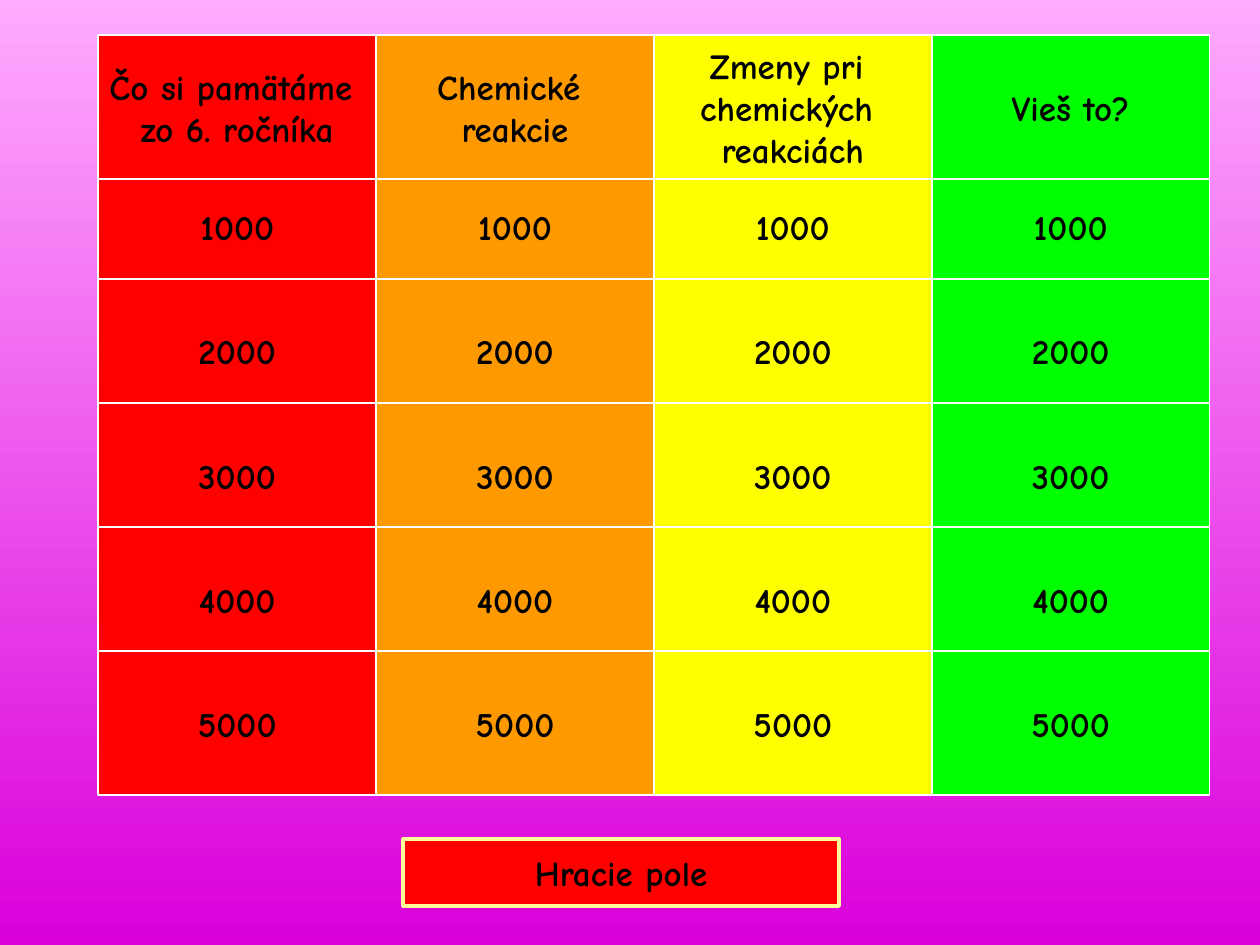
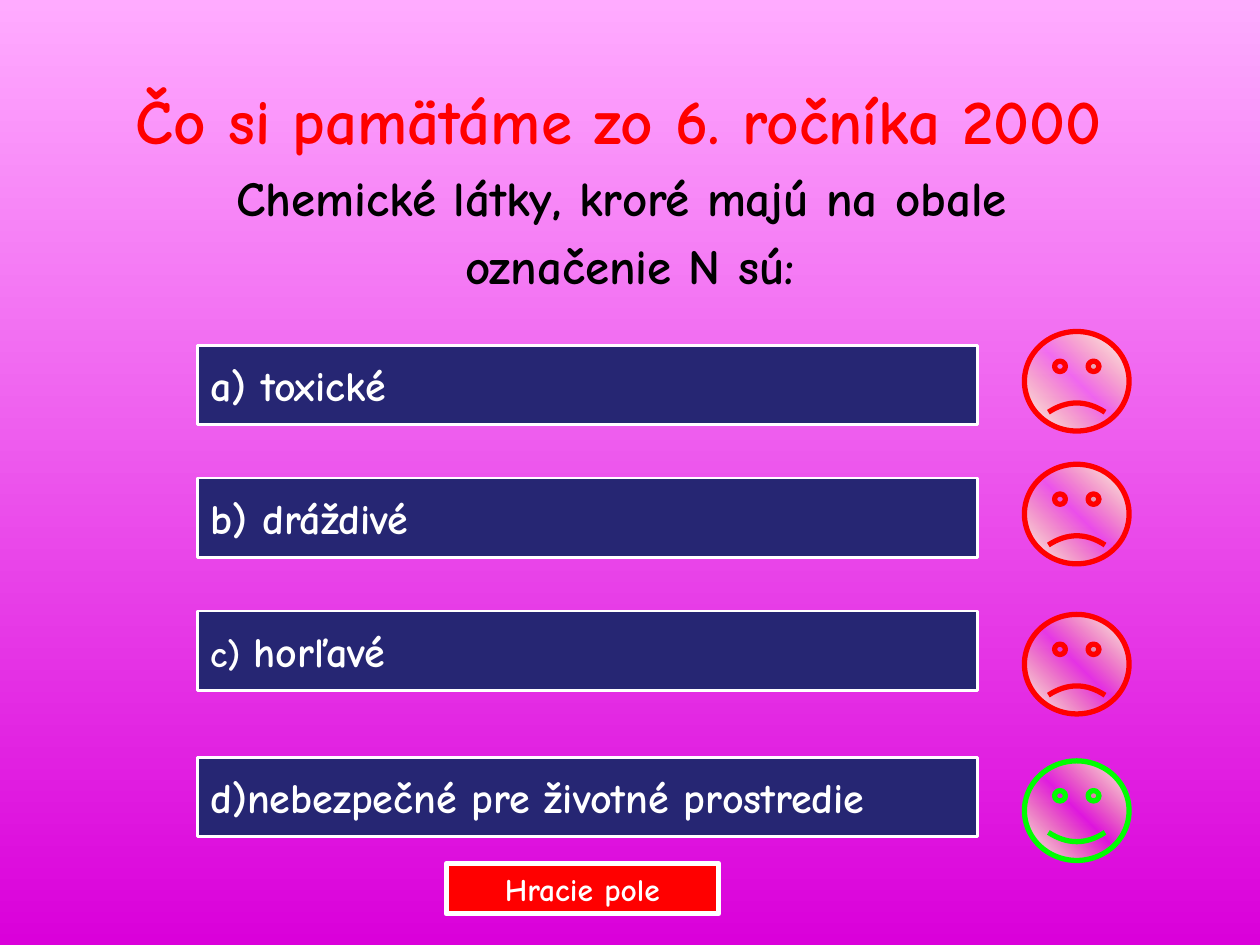
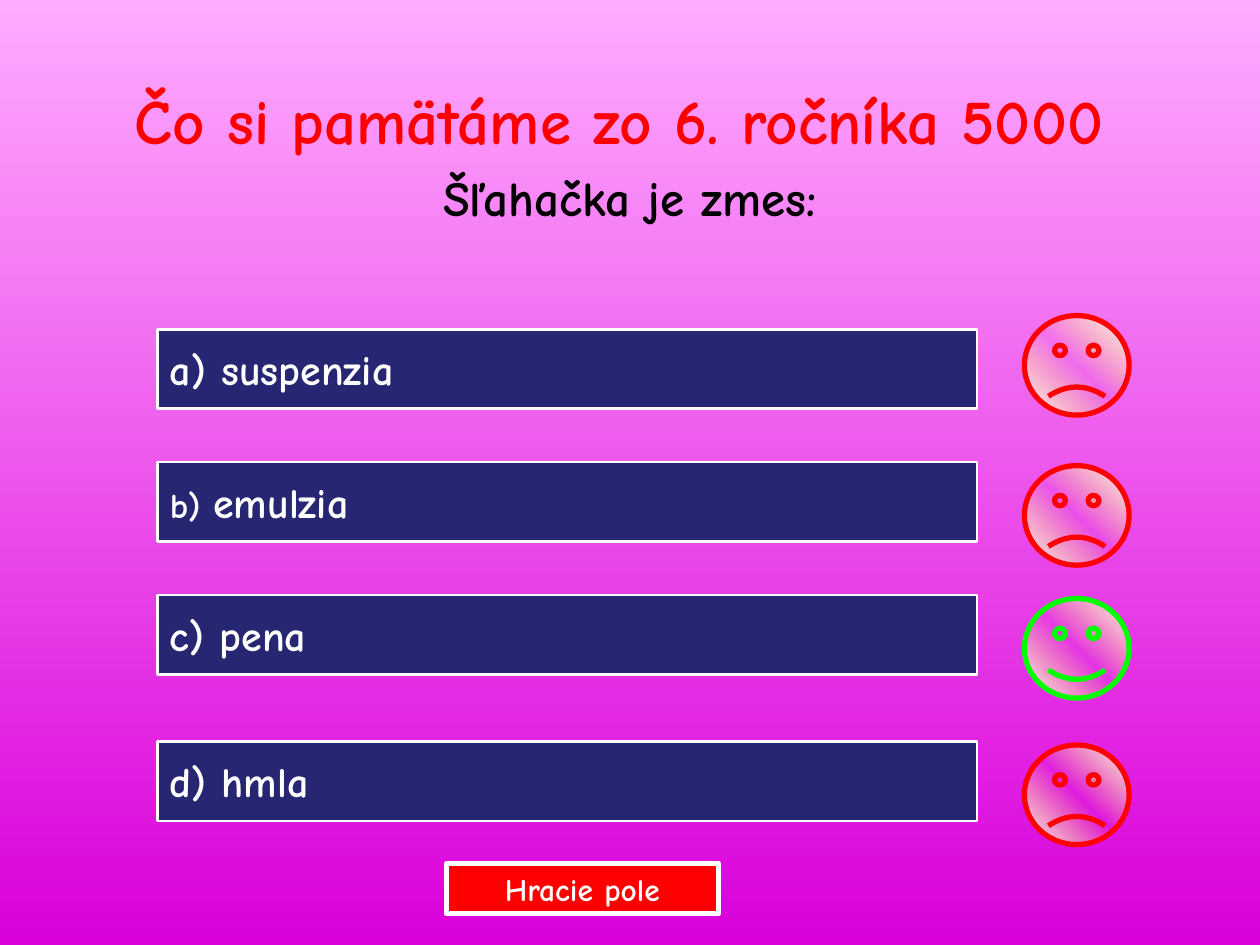
from lxml import etree
from pptx import Presentation
from pptx.dml.color import RGBColor
from pptx.enum.shapes import MSO_SHAPE
from pptx.enum.text import MSO_ANCHOR, MSO_AUTO_SIZE, PP_ALIGN
from pptx.oxml import parse_xml
from pptx.oxml.ns import nsdecls, qn
from pptx.util import Pt

BLACK = RGBColor(0x00, 0x00, 0x00)
WHITE = RGBColor(0xFF, 0xFF, 0xFF)
RED = RGBColor(0xFF, 0x00, 0x00)
ORANGE = RGBColor(0xFF, 0x99, 0x00)
YELLOW = RGBColor(0xFF, 0xFF, 0x00)
GREEN = RGBColor(0x00, 0xFF, 0x00)
CREAM = RGBColor(0xFF, 0xFF, 0x99)
NAVY = RGBColor(0x26, 0x26, 0x73)
PALE_PINK = RGBColor(0xFF, 0xAB, 0xFF)
MAGENTA = RGBColor(0xDA, 0x00, 0xDA)

FONT = "Comic Neue"
BLANK_LAYOUT, CONTENT_LAYOUT = 6, 1
BOARD_BUTTON = "Hracie pole"

CATEGORIES = [
    (RED, ["Čo si pamätáme ", "zo 6. ročníka"]),
    (ORANGE, ["Chemické ", "reakcie"]),
    (YELLOW, ["Zmeny pri ", "chemických ", "reakciách"]),
    (GREEN, ["Vieš to?"]),
]
POINT_VALUES = ["1000", "2000", "3000", "4000", "5000"]
BOARD_LEFT, HEADER_TOP, VALUES_TOP = 56.2, 20.2, 88.6
COLUMN_STEP, ROW_STEP = 158.75, 70.9
CELL_WIDTH, CELL_HEIGHT = 158.75, 82.1

ANSWER_OFFSETS = [0, 75.9, 151.8, 235.5]
ANSWER_RIGHT, ANSWER_HEIGHT = 558.4, 45.4
FACE_HIGH, FACE_LOW = -7.9, 2


class QuizDeck:
    def __init__(self):
        self.presentation = Presentation()
        self.presentation.slide_width = Pt(720)
        self.presentation.slide_height = Pt(540)
        self.slide = None
        self.fill_gradient(self.presentation.slide_master.background.fill,
                           PALE_PINK, MAGENTA, 270)

    def fill_gradient(self, fill, first, last, angle):
        fill.gradient()
        fill.gradient_angle = angle
        for stop, color in zip(fill.gradient_stops, (first, last)):
            stop.color.rgb = color

    def new_slide(self, layout):
        layouts = self.presentation.slide_layouts
        self.slide = self.presentation.slides.add_slide(layouts[layout])

    def add_lines(self, frame, lines, color, align, space=0):
        """Fill a frame; each line is a list of (text, size) runs."""
        for index, runs in enumerate(lines):
            paragraph = frame.paragraphs[0] if index == 0 else frame.add_paragraph()
            properties = paragraph._p.get_or_add_pPr()
            properties.set("marL", "0")
            properties.set("indent", "0")
            etree.SubElement(properties, qn("a:buNone"))
            paragraph.alignment = align
            paragraph.space_before = Pt(space if index else 0)
            for text, size in runs:
                run = paragraph.add_run()
                run.text = text
                run.font.name = FONT
                run.font.size = Pt(size)
                run.font.bold = True
                run.font.color.rgb = color

    def heading(self, placeholder, top, height, lines, color):
        placeholder.left, placeholder.top = Pt(0), Pt(top)
        placeholder.width, placeholder.height = Pt(720), Pt(height)
        frame = placeholder.text_frame
        frame.auto_size = MSO_AUTO_SIZE.NONE
        frame.vertical_anchor = MSO_ANCHOR.TOP
        frame.word_wrap = True
        self.add_lines(frame, lines, color, PP_ALIGN.CENTER, 5.6)

    def shape(self, kind, left, top, width, height, line, line_width):
        shape = self.slide.shapes.add_shape(
            kind, Pt(left), Pt(top), Pt(width), Pt(height))
        shape.shadow.inherit = False
        shape.line.color.rgb = line
        shape.line.width = Pt(line_width)
        return shape

    def button(self, left, top, width, height, lines, fill, line=WHITE,
               line_width=1, color=BLACK, align=PP_ALIGN.CENTER):
        shape = self.shape(MSO_SHAPE.ACTION_BUTTON_CUSTOM, left, top, width,
                           height, line, line_width)
        shape.fill.solid()
        shape.fill.fore_color.rgb = fill
        frame = shape.text_frame
        frame.word_wrap = False
        frame.vertical_anchor = MSO_ANCHOR.MIDDLE
        self.add_lines(frame, lines, color, align)

    def face(self, top, correct):
        shape = self.shape(MSO_SHAPE.SMILEY_FACE, 585.4, top, 59.8, 56.9,
                           GREEN if correct else RED, 3)
        shape.adjustments[0] = 0.047 if correct else -0.047
        self.fill_gradient(shape.fill, WHITE, WHITE, 45)
        clear_stop = parse_xml(
            f'<a:gs {nsdecls("a")} pos="50000"><a:srgbClr val="FFFF66">'
            '<a:alpha val="0"/></a:srgbClr></a:gs>')
        stops = shape._element.spPr.find(qn("a:gradFill")).find(qn("a:gsLst"))
        stops.insert(1, clear_stop)

    def board(self):
        self.new_slide(BLANK_LAYOUT)

        def cell(column, top, texts):
            self.button(BOARD_LEFT + column * COLUMN_STEP, top, CELL_WIDTH,
                        CELL_HEIGHT, [[(text, 20)] for text in texts],
                        CATEGORIES[column][0])

        for row, value in enumerate(POINT_VALUES):
            for column in range(len(CATEGORIES)):
                cell(column, VALUES_TOP + row * ROW_STEP, [value])
        for column, (_, names) in enumerate(CATEGORIES):
            cell(column, HEADER_TOP, names)
        self.button(230.4, 479.5, 249.1, 38.2, [[(BOARD_BUTTON, 20)]], RED, CREAM, 2)

    def question(self, title, question, left, top, answers):
        """Add a question slide; an answer is (runs, face offset, correct)."""
        self.new_slide(CONTENT_LAYOUT)
        self.heading(self.slide.shapes.title, 43.2, 56.9, [[(title, 36)]], RED)
        self.heading(self.slide.placeholders[1], 92, 80,
                     [[(line, 28)] for line in question], BLACK)
        for offset, (runs, face_offset, correct) in zip(ANSWER_OFFSETS, answers):
            self.button(left, top + offset, ANSWER_RIGHT - left, ANSWER_HEIGHT,
                        [runs], NAVY, line_width=1.5, color=WHITE,
                        align=PP_ALIGN.LEFT)
            self.face(top + offset + face_offset, correct)
        self.button(255, 493.4, 155.6, 28.8, [[(BOARD_BUTTON, 18)]], RED,
                    line_width=3, color=WHITE)


def main():
    deck = QuizDeck()
    deck.board()
    deck.question(
        "Čo si pamätáme zo 6. ročníka 2000 ",
        ["Chemické látky, kroré majú na obale ", "označenie N sú:"],
        113, 197.3,
        [([("a) toxické", 24)], FACE_HIGH, False),
         ([("b) dráždivé", 24)], FACE_HIGH, False),
         ([("c) ", 21), ("horľavé", 24)], FACE_LOW, False),
         ([("d)nebezpečné pre životné prostredie", 24)], FACE_LOW, True)])
    deck.question(
        "Čo si pamätáme zo 6. ročníka 5000 ",
        ["Šľahačka je zmes:"],
        90, 188.2,
        [([("a) suspenzia", 24)], FACE_HIGH, False),
         ([("b) ", 20), ("emulzia", 24)], FACE_LOW, False),
         ([("c) pena", 24)], FACE_LOW, True),
         ([("d) hmla", 24)], FACE_LOW, False)])
    deck.presentation.save("out.pptx")


if __name__ == "__main__":
    main()
